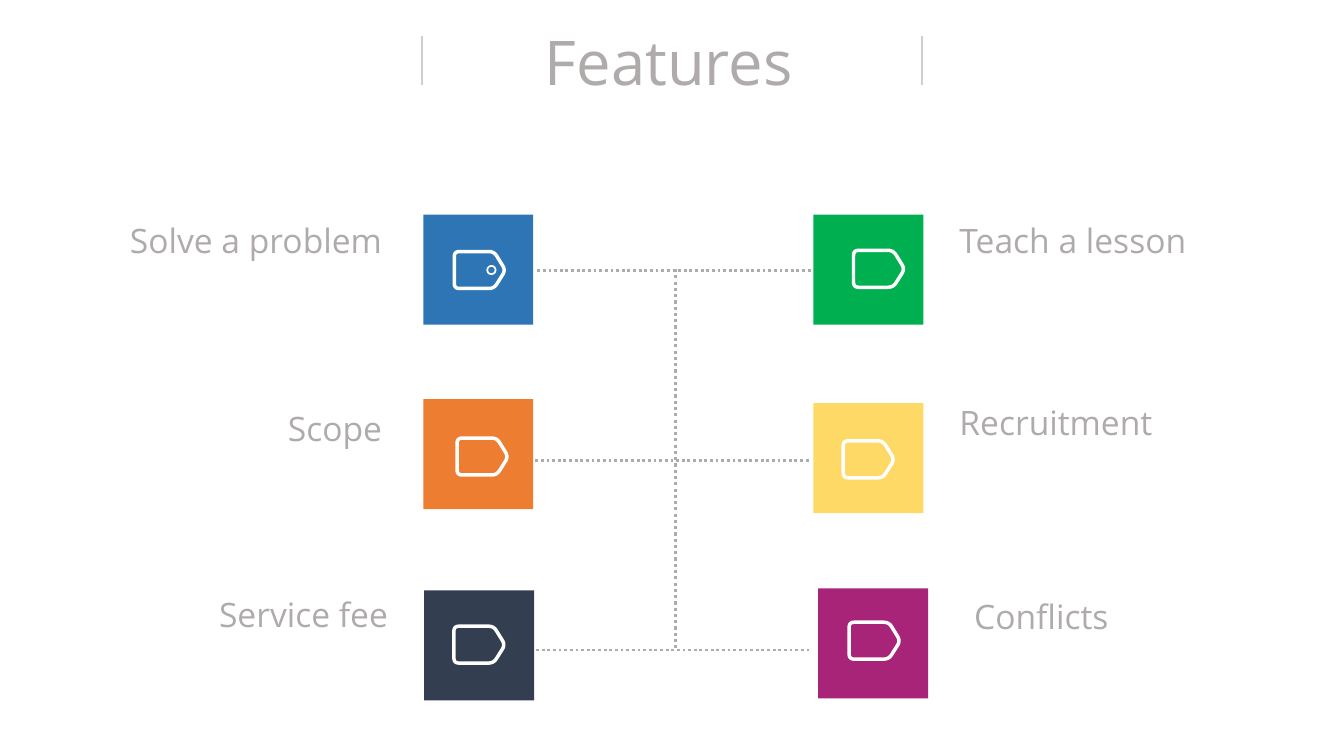
from dataclasses import dataclass

from lxml.etree import SubElement
from pptx import Presentation
from pptx.dml.color import RGBColor
from pptx.enum.dml import MSO_LINE_DASH_STYLE as Dash
from pptx.enum.shapes import MSO_CONNECTOR_TYPE as Connector, MSO_SHAPE as Shape
from pptx.enum.text import MSO_ANCHOR as Anchor, MSO_AUTO_SIZE as AutoSize, PP_ALIGN as Align
from pptx.oxml.ns import qn
from pptx.util import Cm, Pt

COLORS = {
    "text": "AFABAB",
    "rule": "D0CECE",
    "white": "FFFFFF",
    "blue": "2E75B6",
    "orange": "ED7D31",
    "navy": "333F50",
    "green": "00B050",
    "yellow": "FFD966",
    "purple": "A82479",
}
FONT = "Open Sans"
TILE = 2.77
LABEL_HEIGHT = 1.27
TAG_CORNERS = [(0.04, 0.04), (1.04, 0.04), (1.33, 0.51), (1.04, 0.97), (0.04, 0.97)]
TAG_ROUNDING = 0.13
CURVE_STEPS = 6


@dataclass
class Box:
    left: float
    top: float
    width: float
    height: float

    def lengths(self):
        return Cm(self.left), Cm(self.top), Cm(self.width), Cm(self.height)


@dataclass
class Feature:
    label: str
    color: str
    tile: tuple
    tag: tuple
    label_gap: float
    label_drop: float
    label_width: float


LEFT_FEATURES = [
    Feature("Solve a problem", "blue", (10.67, 5.41), (0.74, 0.89), 0.79, 0, 7.49),
    Feature("Scope", "orange", (10.67, 10.06), (0.81, 0.94), 0.79, 0.08, 5.87),
    Feature("Service fee", "navy", (10.69, 14.88), (0.71, 0.86), 0.66, -0.05, 5.77),
]
RIGHT_FEATURES = [
    Feature("Teach a lesson", "green", (20.5, 5.41), (0.97, 0.86), 0.66, 0, 6.86),
    Feature("Recruitment", "yellow", (20.5, 10.16), (0.71, 0.91), 0.66, -0.15, 6.48),
    Feature("Conflicts", "purple", (20.62, 14.83), (0.74, 0.81), 0.91, 0.05, 5.72),
]


def rgb(name):
    return RGBColor.from_string(COLORS[name])


def write(frame, text, size, align):
    frame.word_wrap = True
    frame.auto_size = AutoSize.NONE
    frame.vertical_anchor = Anchor.MIDDLE
    paragraph = frame.paragraphs[0]
    paragraph.alignment = align
    run = paragraph.add_run()
    run.text = text
    run.font.name = FONT
    run.font.size = Pt(size)
    run.font.color.rgb = rgb("text")


def draw_line(slide, start, end, color, width, dash=None):
    line = slide.shapes.add_connector(
        Connector.STRAIGHT, *(Cm(value) for value in (*start, *end)))
    line.line.color.rgb = rgb(color)
    line.line.width = Pt(width)
    if dash:
        line.line.dash_style = dash
    SubElement(line._element.spPr, qn("a:effectLst"))


def toward(point, target, distance):
    dx, dy = target[0] - point[0], target[1] - point[1]
    share = distance / (dx * dx + dy * dy) ** 0.5
    return point[0] + dx * share, point[1] + dy * share


def rounded_outline(corners, rounding):
    points = []
    for index, corner in enumerate(corners):
        entry = toward(corner, corners[index - 1], rounding)
        leave = toward(corner, corners[(index + 1) % len(corners)], rounding)
        for step in range(CURVE_STEPS + 1):
            t = step / CURVE_STEPS
            points.append(tuple(
                (1 - t) ** 2 * a + 2 * t * (1 - t) * b + t * t * c
                for a, b, c in zip(entry, corner, leave)))
    return points


def style_outline(shape, width):
    shape.shadow.inherit = False
    shape.fill.background()
    shape.line.color.rgb = rgb("white")
    shape.line.width = Pt(width)


def draw_tag(slide, left, top):
    points = [(Cm(left + x), Cm(top + y))
              for x, y in rounded_outline(TAG_CORNERS, TAG_ROUNDING)]
    builder = slide.shapes.build_freeform(*points[0])
    builder.add_line_segments(points[1:], close=True)
    style_outline(builder.convert_to_shape(), 2.5)


def draw_tag_hole(slide, left, top):
    hole = slide.shapes.add_shape(Shape.OVAL, *Box(left, top, 0.21, 0.21).lengths())
    style_outline(hole, 1.25)


def draw_heading(slide, box):
    title = slide.shapes.title
    title.left, title.top, title.width, title.height = box.lengths()
    write(title.text_frame, "Features", 44, Align.CENTER)
    for offset in (5.2, 17.8):
        x = box.left + offset
        draw_line(slide, (x, box.top + 0.43), (x, box.top + 1.65), "rule", 1.5)


def draw_branches(slide, box):
    trunk = box.left + 3.51
    draw_line(slide, (trunk, box.top), (trunk, box.top + box.height),
              "text", 2.25, Dash.ROUND_DOT)
    for row, start in enumerate((0.03, -0.02, 0)):
        y = box.top + 0.03 + row * box.height / 2
        draw_line(slide, (box.left + start, y), (box.left + box.width, y),
                  "text", 2, Dash.ROUND_DOT)


def draw_feature(slide, feature, box, align):
    tile = slide.shapes.add_shape(Shape.RECTANGLE, *box.lengths())
    tile.shadow.inherit = False
    tile.fill.solid()
    tile.fill.fore_color.rgb = rgb(feature.color)
    tile.line.fill.background()
    draw_tag(slide, box.left + feature.tag[0], box.top + feature.tag[1])
    if align == Align.RIGHT:
        label_left = box.left - feature.label_gap - feature.label_width
    else:
        label_left = box.left + box.width + feature.label_gap
    label_box = Box(label_left, box.top + feature.label_drop,
                    feature.label_width, LABEL_HEIGHT)
    label = slide.shapes.add_textbox(*label_box.lengths())
    write(label.text_frame, feature.label, 24, align)


def draw_features(slide, features, align):
    for feature in features:
        draw_feature(slide, feature, Box(*feature.tile, TILE, TILE), align)


def main():
    deck = Presentation()
    deck.slide_width, deck.slide_height = Cm(33.87), Cm(19.05)
    slide = deck.slides.add_slide(deck.slide_layouts[5])
    draw_heading(slide, Box(5.44, 0.48, 22.83, 2.13))
    draw_branches(slide, Box(13.51, 6.78, 6.92, 9.57))
    draw_features(slide, LEFT_FEATURES, Align.RIGHT)
    draw_features(slide, RIGHT_FEATURES, Align.LEFT)
    first_left, first_top = LEFT_FEATURES[0].tile
    draw_tag_hole(slide, first_left + 1.61, first_top + 1.29)
    deck.save("out.pptx")


if __name__ == "__main__":
    main()
